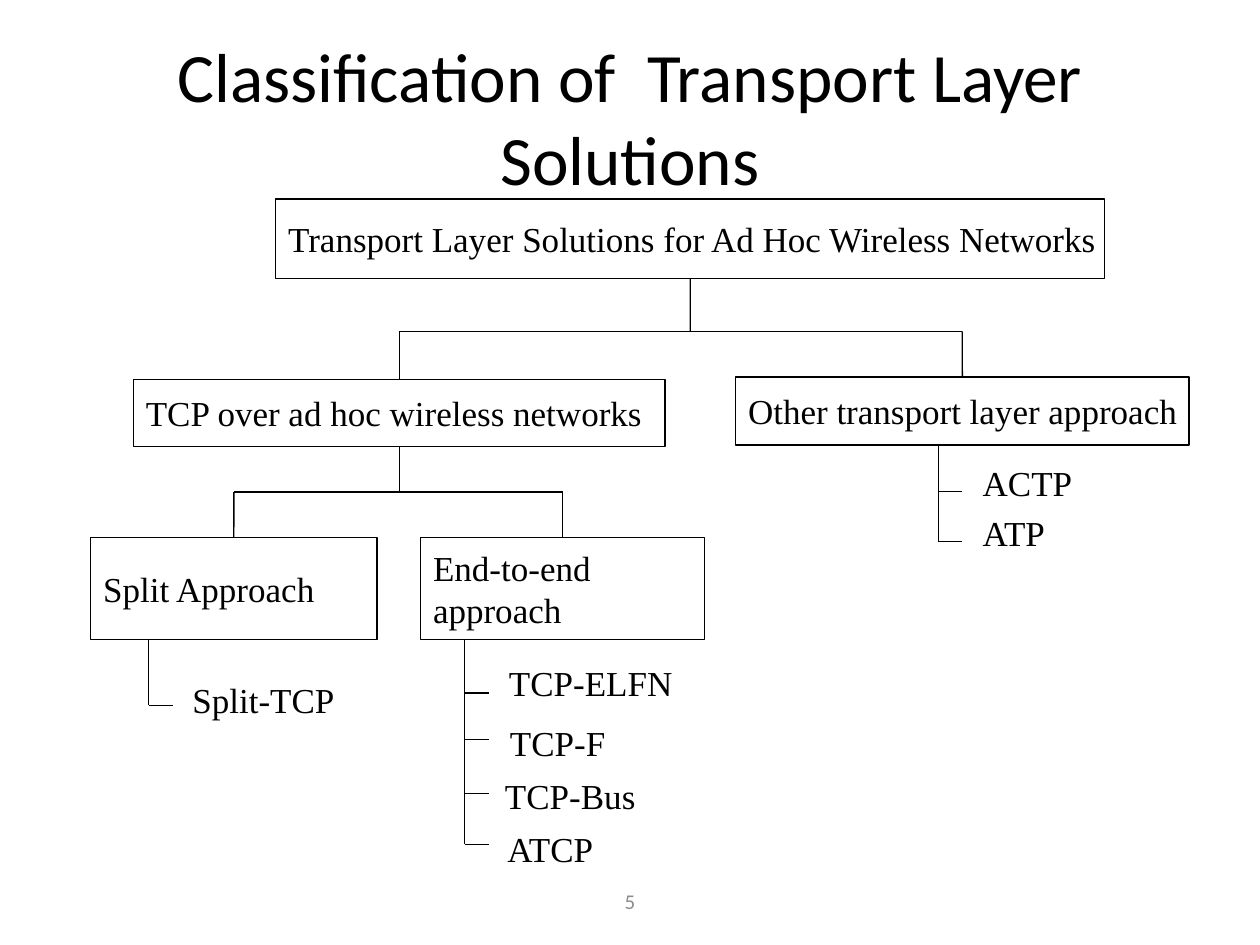
from lxml import etree
from pptx import Presentation
from pptx.dml.color import RGBColor
from pptx.enum.shapes import MSO_CONNECTOR as CONN, MSO_SHAPE as SHAPE
from pptx.enum.text import MSO_ANCHOR as ANCHOR, PP_ALIGN as ALIGN
from pptx.oxml.ns import qn
from pptx.util import Cm, Pt

BLACK = RGBColor(0, 0, 0)
WHITE = RGBColor(255, 255, 255)
GRAY = RGBColor(0x8C, 0x8C, 0x8C)
SERIF = "Times New Roman"
TICK = 0.48

prs = Presentation()
prs.slide_width, prs.slide_height = Cm(25.4), Cm(19.05)
s = prs.slides.add_slide(prs.slide_layouts[6])


def write(sp, text, size=20, font=SERIF, color=BLACK, align=ALIGN.LEFT,
          anchor=ANCHOR.MIDDLE, wrap=True, before=0):
    """Fill a shape with text, one paragraph for each line."""
    tf = sp.text_frame
    tf.text = text
    for name, value in {"word_wrap": wrap, "vertical_anchor": anchor}.items():
        setattr(tf, name, value)
    for p in tf.paragraphs:
        p.alignment, p.space_before = align, Pt(before)
        for name, value in {"size": Pt(size), "name": font}.items():
            setattr(p.font, name, value)
        p.font.color.rgb = color


def line(x1, y1, x2, y2):
    c = s.shapes.add_connector(CONN.STRAIGHT, Cm(x1), Cm(y1), Cm(x2), Cm(y2))
    c.line.color.rgb = BLACK
    c.line.width = Pt(0.75)
    etree.SubElement(c._element.spPr, qn("a:effectLst"))
    return c


# Title and slide number
for text, box, size, color in [
    ("Classification of  Transport Layer Solutions", (1.27, 0.76, 22.86, 3.18), 39.6, BLACK),
    ("5", (8.68, 17.65, 8.04, 1.02), 12, GRAY),
]:
    tb = s.shapes.add_textbox(*map(Cm, box))
    write(tb, text, size, "Calibri", color, ALIGN.CENTER)

# Boxes of the tree: left, top, width, height
boxes = {
    "root": ("Transport Layer Solutions for Ad Hoc Wireless Networks", 5.56, 4.01, 16.71, 1.6),
    "tcp": ("TCP over ad hoc wireless networks", 2.69, 7.65, 10.72, 1.35),
    "other": ("Other transport layer approach", 14.83, 7.6, 9.14, 1.37),
    "split": ("Split Approach", 1.83, 10.83, 5.77, 2.06),
    "end": ("End-to-end\napproach", 8.48, 10.83, 5.72, 2.06),
}
nodes = {}
for key, (text, *box) in boxes.items():
    sp = s.shapes.add_shape(SHAPE.RECTANGLE, *map(Cm, box))
    sp.shadow.inherit = False
    sp.fill.solid()
    sp.fill.fore_color.rgb = WHITE
    sp.line.color.rgb = BLACK
    sp.line.width = Pt(0.75)
    write(sp, text, wrap=False)
    nodes[key] = sp

# Branches: stem below the parent, horizontal bar, drop to each child
for parent, children, bar_y in [("root", ("tcp", "other"), 6.68),
                                ("tcp", ("split", "end"), 9.92)]:
    centers = {k: boxes[k][1] + boxes[k][3] / 2 for k in (parent, *children)}
    x = centers[parent]
    line(x, bar_y - 1, x, bar_y).begin_connect(nodes[parent], 2)
    first, last = (centers[k] for k in children)
    line(first, bar_y, last, bar_y)
    for k in children:
        line(centers[k], bar_y, centers[k], bar_y + 1).end_connect(nodes[k], 0)

# Leaves: trunk x, then text, tick y, label left and top
leaves = {
    "split": (3, [("Split-TCP", 14.22, 3.63, 13.56)]),
    "end": (9.37, [("TCP-ELFN", 13.97, 10.01, 13.21), ("TCP-F", 14.91, 10.03, 14.43),
                   ("TCP-Bus", 16, 9.93, 15.49), ("ATCP", 17.02, 9.98, 16.56)]),
    "other": (18.92, [("ACTP", 9.91, 19.56, 9.17), ("ATP", 10.92, 19.56, 10.19)]),
}
for key, (x, items) in leaves.items():
    _, _, top, _, height = boxes[key]
    line(x, top + height, x, items[-1][1])
    for text, y, left, label_top in items:
        line(x, y, x + TICK, y)
        tb = s.shapes.add_textbox(Cm(left), Cm(label_top), Cm(5.13), Cm(1.19))
        write(tb, text, anchor=ANCHOR.TOP, before=4)

prs.save("out.pptx")
